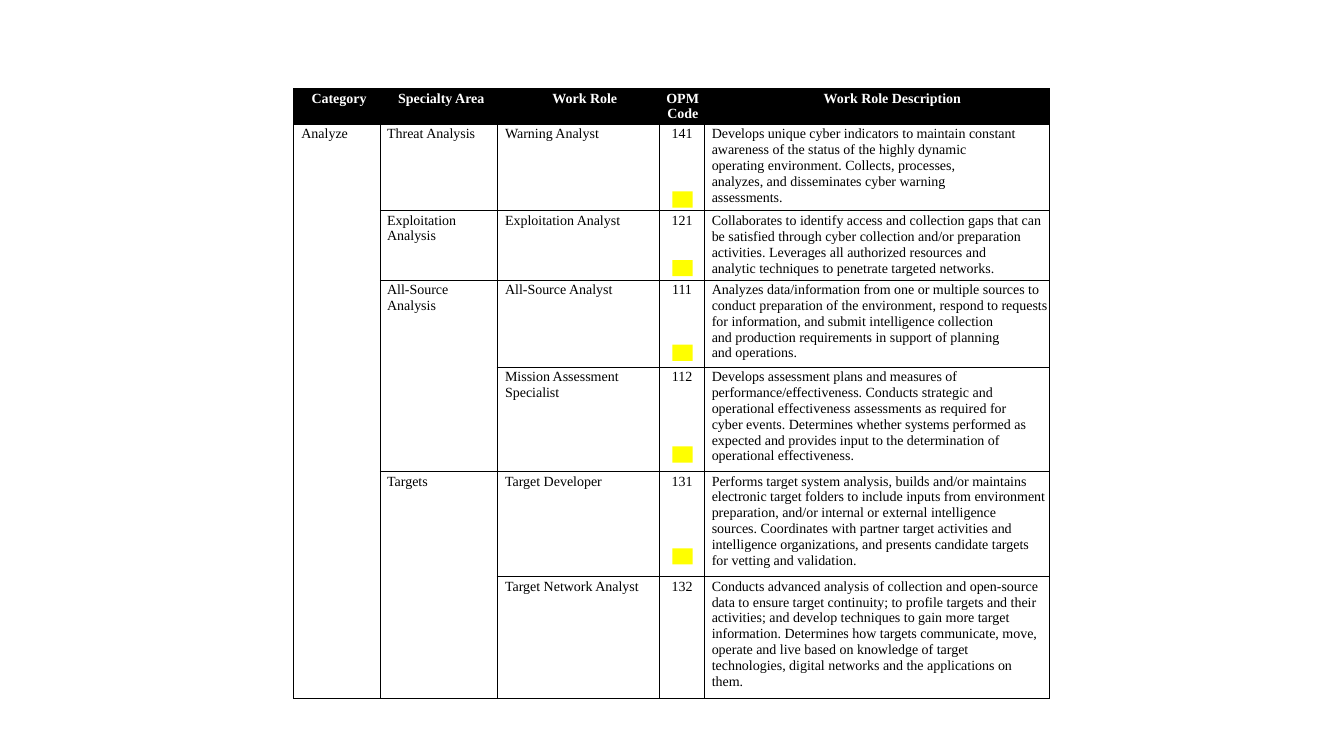
from dataclasses import dataclass

from lxml import etree
from pptx import Presentation
from pptx.dml.color import RGBColor
from pptx.enum.shapes import MSO_SHAPE
from pptx.enum.text import PP_ALIGN
from pptx.oxml.ns import qn
from pptx.util import Inches, Pt

RECTANGLE = MSO_SHAPE.RECTANGLE
LEFT, CENTER = PP_ALIGN.LEFT, PP_ALIGN.CENTER


@dataclass(frozen=True)
class Theme:
    font: str = "Times New Roman"
    size: float = 10
    ink: str = "000000"
    paper: str = "FFFFFF"
    mark: str = "FFFF00"
    rule: float = 0.5
    first_line: float = 12.7
    wrapped: float = 1.03


THEME = Theme()

TABLE_BOX = (2.91, 0.88, 7.5, 6.05)
COLUMNS = [0.86, 1.16, 1.61, 0.45, 3.42]
ROWS = [0.35, 0.86, 0.69, 0.86, 1.04, 1.04, 1.21]
INDENTS = [0.08, 0.07, 0.08, 0, 0.07]
CODE_COLUMN, DESCRIPTION_COLUMN = 3, 4

# Heading lines with their indents, one list per column
HEADINGS = [
    [("Category", 0.18)],
    [("Specialty Area", 0.18)],
    [("Work Role", 0.55)],
    [("OPM", 0.07), ("Code", 0.08)],
    [("Work Role Description", 1.18)],
]

# First row, last row, column and lines of each cell that spans rows
SPANS = [
    (1, 6, 0, ["Analyze"]),
    (3, 4, 1, ["All-Source", "Analysis"]),
    (5, 6, 1, ["Targets"]),
]
AREAS = {1: ["Threat Analysis"], 2: ["Exploitation", "Analysis"]}

# Role, code, description and right indent of the wrapped description
ROLES = [
    (["Warning Analyst"], "141",
     ["Develops unique cyber indicators to maintain constant",
      "awareness of the status of the highly dynamic operating environment. Collects, "
      "processes, analyzes, and disseminates cyber warning assessments."], 0.65),
    (["Exploitation Analyst"], "121",
     ["Collaborates to identify access and collection gaps that can",
      "be satisfied through cyber collection and/or preparation activities. Leverages all "
      "authorized resources and analytic techniques to penetrate targeted networks."], 0.22),
    (["All-Source Analyst"], "111",
     ["Analyzes data/information from one or multiple sources to",
      "conduct preparation of the environment, respond to requests",
      "for information, and submit intelligence collection and production requirements "
      "in support of planning and operations."], 0.47),
    (["Mission Assessment", "Specialist"], "112",
     ["Develops assessment plans and measures of",
      "performance/effectiveness. Conducts strategic and operational effectiveness "
      "assessments as required for cyber events. Determines whether systems performed as "
      "expected and provides input to the determination of operational effectiveness."], 0.17),
    (["Target Developer"], "131",
     ["Performs target system analysis, builds and/or maintains",
      "electronic target folders to include inputs from environment",
      "preparation, and/or internal or external intelligence sources. Coordinates with "
      "partner target activities and intelligence organizations, and presents candidate "
      "targets for vetting and validation."], 0.14),
    (["Target Network Analyst"], "132",
     ["Conducts advanced analysis of collection and open-source",
      "data to ensure target continuity; to profile targets and their activities; and "
      "develop techniques to gain more target information. Determines how targets "
      "communicate, move, operate and live based on knowledge of target technologies, "
      "digital networks and the applications on them."], 0.1),
]

# Code marks, placed from the table's top left corner
MARK_LEFT, MARK_WIDTH, MARK_HEIGHT = 3.76, 0.2, 0.16
MARK_TOPS = [1.02, 1.7, 2.54, 3.55, 4.56]


def color(value):
    return RGBColor.from_string(value)


def add_marks(page, box):
    for top in MARK_TOPS:
        mark = page.shapes.add_shape(
            RECTANGLE, Inches(box[0] + MARK_LEFT), Inches(box[1] + top),
            Inches(MARK_WIDTH), Inches(MARK_HEIGHT))
        mark.shadow.inherit = False
        mark.fill.solid()
        mark.fill.fore_color.rgb = color(THEME.mark)
        mark.line.fill.background()


def frame_cell(cell, fill=None):
    margins = dict.fromkeys(["margin_left", "margin_right", "margin_top", "margin_bottom"], 0)
    for name, value in margins.items():
        setattr(cell, name, value)
    properties = cell._tc.get_or_add_tcPr()
    for side in ("lnL", "lnR", "lnT", "lnB"):
        line = etree.SubElement(properties, qn(f"a:{side}"), w=str(Pt(THEME.rule)))
        paint = etree.SubElement(line, qn("a:solidFill"))
        etree.SubElement(paint, qn("a:srgbClr"), val=THEME.ink)
    if fill:
        cell.fill.solid()
        cell.fill.fore_color.rgb = color(fill)
    else:
        cell.fill.background()


def write_cell(cell, lines, ink=THEME.ink, bold=False, align=LEFT, right=0):
    """Write (text, left indent) lines; the last one keeps clear of the right edge."""
    for index, (text, indent) in enumerate(lines):
        frame = cell.text_frame
        para = frame.add_paragraph() if index else frame.paragraphs[0]
        wraps = index and index == len(lines) - 1 and right
        indents = para._p.get_or_add_pPr()
        indents.set("marL", str(Inches(indent)))
        indents.set("indent", "0")
        if wraps:
            indents.set("marR", str(Inches(right)))
        para.alignment = align
        if index == 0:
            para.line_spacing = Pt(THEME.first_line)
        elif wraps:
            para.line_spacing = THEME.wrapped
        span = para.add_run()
        span.text = text
        for name, value in {"name": THEME.font, "size": Pt(THEME.size), "bold": bold}.items():
            setattr(span.font, name, value)
        span.font.color.rgb = color(ink)


def add_role_table(page, box):
    table = page.shapes.add_table(
        len(ROWS), len(COLUMNS), *(Inches(length) for length in box)).table
    table.first_row = table.horz_banding = False
    for column, width in zip(table.columns, COLUMNS):
        column.width = Inches(width)
    for row, height in zip(table.rows, ROWS):
        row.height = Inches(height)
    for number, row in enumerate(table.rows):
        for cell in row.cells:
            frame_cell(cell, None if number else THEME.ink)

    # Heading row
    for number, lines in enumerate(HEADINGS):
        write_cell(table.cell(0, number), lines, ink=THEME.paper, bold=True)

    def fill_in(row, column, lines, **formats):
        indented = [(line, INDENTS[column]) for line in lines]
        write_cell(table.cell(row, column), indented, **formats)

    # Category and specialty areas
    for first, last, column, lines in SPANS:
        table.cell(first, column).merge(table.cell(last, column))
        fill_in(first, column, lines)
    for row, lines in AREAS.items():
        fill_in(row, 1, lines)

    # Work roles
    for row, (role, code, description, right) in enumerate(ROLES, start=1):
        fill_in(row, 2, role)
        fill_in(row, CODE_COLUMN, [code], align=CENTER)
        fill_in(row, DESCRIPTION_COLUMN, description, right=right)


def main():
    deck = Presentation()
    deck.slide_width, deck.slide_height = Inches(13.33), Inches(7.5)
    page = deck.slides.add_slide(deck.slide_layouts.get_by_name("Blank"))
    add_marks(page, TABLE_BOX)
    add_role_table(page, TABLE_BOX)
    deck.save("out.pptx")


if __name__ == "__main__":
    main()
